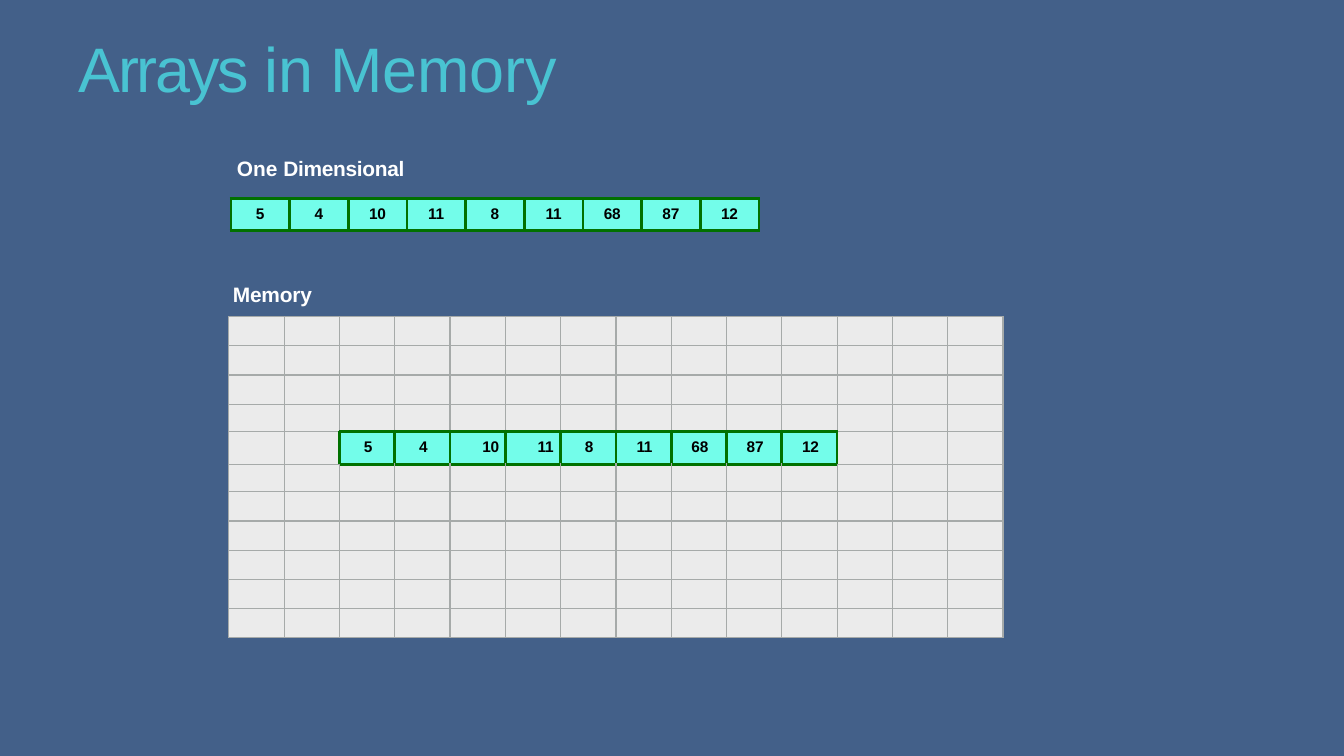
from lxml import etree
from pptx import Presentation
from pptx import util as u
from pptx.dml.color import RGBColor
from pptx.enum import text
from pptx.oxml import ns

PX = 9144  # EMU; 100 px to the inch
FONT = "Arial"
NAVY, TEAL, WHITE, BLACK = "436089", "49C3D2", "FFFFFF", "000000"
AQUA, GREEN, PALE, GREY = "73FDEA", "017100", "EBEBEB", "A6AAA9"
VALUES = ["5", "4", "10", "11", "8", "11", "68", "87", "12"]
LEFT, CENTER = text.PP_ALIGN.LEFT, text.PP_ALIGN.CENTER
SIDES = {"L": (0, -1), "R": (0, 1), "T": (-1, 0), "B": (1, 0)}


def rgb(hex_color):
    return RGBColor.from_string(hex_color)


def px(*lengths):
    return [u.Emu(round(n * PX)) for n in lengths]


def add_text(p, words, size, color, bold=False, spacing=0, align=LEFT):
    p.alignment = align
    r = p.add_run()
    r.text = words
    f = r.font
    f.name, f.size, f.bold = FONT, u.Pt(size), bold
    f.color.rgb = rgb(color)
    if spacing:
        r._r.get_or_add_rPr().set("spc", str(round(spacing * 100)))


def set_frame(tf, left=0):
    tf.margin_left, tf.margin_top, tf.margin_right, tf.margin_bottom = px(left, 1, 0, 0)
    tf.vertical_anchor = text.MSO_ANCHOR.TOP
    tf.auto_size = text.MSO_AUTO_SIZE.NONE
    tf.word_wrap = True


def place_title(s, box):
    sp = s.shapes.title
    sp.left, sp.top, sp.width, sp.height = px(*box)
    set_frame(sp.text_frame, left=56)
    p = sp.text_frame.paragraphs[0]
    for words, spacing in (("Arrays ", -1.6), ("in ", 0), ("Memory", -0.1)):
        add_text(p, words, 44.9, TEAL, spacing=spacing)


def place_label(s, box, runs):
    tf = s.shapes.add_textbox(*px(*box)).text_frame
    set_frame(tf, left=1)
    for words, spacing in runs:
        add_text(tf.paragraphs[0], words, 14.9, WHITE, bold=True, spacing=spacing)


def set_border(cell, side, color, width):
    ln = etree.SubElement(cell._tc.get_or_add_tcPr(), ns.qn("a:ln" + side),
                          w=str(u.Pt(width)))
    fill = etree.SubElement(ln, ns.qn("a:solidFill"))
    etree.SubElement(fill, ns.qn("a:srgbClr"), val=color)


def place_grid(s, box, rows, columns, values, indents):
    """Draw a grid; values and indents map (row, column) to an array cell."""
    table = s.shapes.add_table(len(rows), columns, *px(*box)).table
    table.first_row = table.horz_banding = False
    for column in table.columns:
        column.width = px(box[2] / columns)[0]
    for i, height in enumerate(rows):
        table.rows[i].height = px(height)[0]
        for j in range(columns):
            cell = table.cell(i, j)
            filled = (i, j) in values
            for side, (di, dj) in SIDES.items():
                green = filled or (i + di, j + dj) in values
                set_border(cell, side, *((GREEN, 2.25) if green else (GREY, 1)))
            cell.fill.solid()
            cell.fill.fore_color.rgb = rgb(AQUA if filled else PALE)
            indent = indents.get((i, j), 0)
            cell.margin_left, cell.margin_top, cell.margin_right, cell.margin_bottom = px(
                indent, 7 if filled else 0, 0, 0)
            p = cell.text_frame.paragraphs[0]
            if filled:
                value = values[i, j]
                add_text(p, value, 11, BLACK, bold=True,
                         spacing=-0.2 if len(value) > 1 else 0,
                         align=LEFT if indent > 10 else CENTER)
            else:
                p._p.get_or_add_endParaRPr().set("sz", "1000")


def place_array(s, box):
    values = {(0, j): value for j, value in enumerate(VALUES)}
    place_grid(s, box, [box[3]], len(VALUES), values, {})


def place_memory(s, box):
    row, first = 4, 2
    values = {(row, first + j): value for j, value in enumerate(VALUES)}
    indents = {key: 2 for key in values}
    indents.update({(row, 4): 32, (row, 5): 32})
    rows = [29] * 3 + [27, 33, 27] + [29] * 5
    place_grid(s, box, rows, 14, values, indents)


def main():
    prs = Presentation()
    prs.slide_width, prs.slide_height = px(1333, 750)
    s = prs.slides.add_slide(prs.slide_layouts[5])
    s.background.fill.solid()
    s.background.fill.fore_color.rgb = rgb(NAVY)
    place_title(s, (22, 28, 766, 77))
    place_array(s, (229, 197, 524, 32))
    place_memory(s, (227, 314, 768, 318))
    place_label(s, (234, 153, 175, 26), [("One ", 0), ("Dimensional", -0.2)])
    place_label(s, (230, 278, 90, 26), [("Memory", -0.1)])
    prs.save("out.pptx")


if __name__ == "__main__":
    main()
